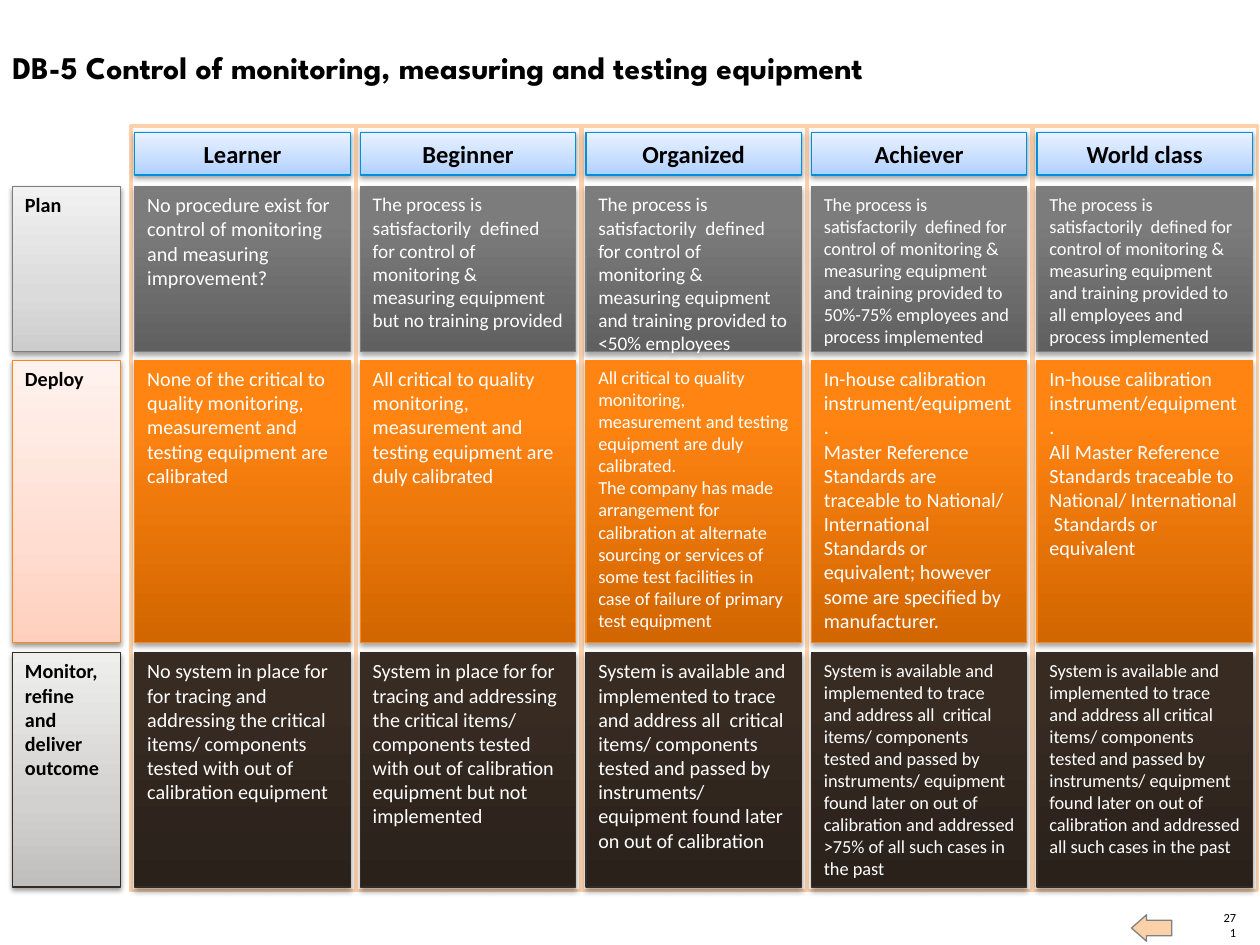
from lxml.etree import SubElement
from pptx import Presentation
from pptx.dml.color import RGBColor
from pptx.enum.shapes import MSO_SHAPE
from pptx.enum.text import MSO_ANCHOR, PP_ALIGN
from pptx.oxml.ns import qn
from pptx.util import Inches, Pt

BLACK = RGBColor(0x00, 0x00, 0x00)
WHITE = RGBColor(0xFF, 0xFF, 0xFF)
PEACH = RGBColor(0xFC, 0xD1, 0xAA)
GRAY = RGBColor(0x80, 0x80, 0x80)
STEEL = RGBColor(0x7D, 0x7D, 0x7D)
ORANGE = RGBColor(0xFF, 0x86, 0x15)
BROWN = RGBColor(0x35, 0x2C, 0x25)
BLUE = RGBColor(0x00, 0x8F, 0xDC)
SKY = [RGBColor(0xAE, 0xCF, 0xFF), RGBColor(0xC6, 0xDD, 0xFF), RGBColor(0xE9, 0xF2, 0xFF)]
SILVER = [RGBColor(0xCD, 0xCD, 0xCD), RGBColor(0xDB, 0xDB, 0xDB), RGBColor(0xF1, 0xF1, 0xF1)]
BLUSH = [RGBColor(0xFF, 0xCF, 0xBD), RGBColor(0xFF, 0xDD, 0xD1), RGBColor(0xFF, 0xF2, 0xEE)]
STONE = [RGBColor(0xC0, 0xBE, 0xBC), RGBColor(0xD3, 0xD1, 0xD0), RGBColor(0xEE, 0xEE, 0xED)]
SLATE = [RGBColor(0x60, 0x60, 0x60), RGBColor(0x7C, 0x7C, 0x7C), STEEL]
AMBER = [RGBColor(0xD2, 0x66, 0x00), RGBColor(0xFF, 0x84, 0x12), RGBColor(0xFF, 0x85, 0x14)]
COCOA = [RGBColor(0x2A, 0x21, 0x1B), RGBColor(0x37, 0x2B, 0x22), RGBColor(0x37, 0x2B, 0x22)]

LEFT, STEP, WIDE = 1.07, 1.79, 1.71

LEVELS = ["Learner", "Beginner", "Organized", "Achiever", "World class"]

ROWS = [
    ("Plan", 1.48, 1.31, STEEL, SILVER, SLATE, [
        (11.5, ["No procedure exist for control of monitoring and measuring improvement?"]),
        (11, ["The process is satisfactorily  defined for control of monitoring & "
              "measuring equipment but no training provided"]),
        (11, ["The process is satisfactorily  defined for control of monitoring & "
              "measuring equipment and training provided to <50% employees"]),
        (10.5, ["The process is satisfactorily  defined for control of monitoring & measuring "
                "equipment and training provided to 50%-75% employees and process implemented"]),
        (10.5, ["The process is satisfactorily  defined for control of monitoring & measuring "
                "equipment and training provided to all employees and process implemented"]),
    ]),
    ("Deploy", 2.86, 2.24, ORANGE, BLUSH, AMBER, [
        (11.5, ["None of the critical to quality monitoring, measurement and testing "
                "equipment are calibrated"]),
        (11.5, ["All critical to quality monitoring, measurement and testing equipment "
                "are duly calibrated"]),
        (10.5, ["All critical to quality monitoring, measurement and testing equipment "
                "are duly calibrated.",
                "The company has made arrangement for calibration at alternate sourcing or services "
                "of some test facilities in case of failure of primary test equipment"]),
        (11.5, ["In-house calibration instrument/equipment.",
                "Master Reference Standards are traceable to National/ International Standards "
                "or equivalent; however some are specified by manufacturer."]),
        (11.5, ["In-house calibration instrument/equipment.",
                "All Master Reference Standards traceable to National/ International  Standards "
                "or equivalent"]),
    ]),
    ("Monitor, refine and deliver outcome", 5.18, 1.86, BROWN, STONE, COCOA, [
        (11.5, ["No system in place for for tracing and addressing the critical items/ "
                "components tested with out of calibration equipment"]),
        (11.5, ["System in place for for tracing and addressing the critical items/ components "
                "tested with out of calibration equipment but not implemented"]),
        (11.5, ["System is available and implemented to trace and address all  critical items/ "
                "components tested and passed by instruments/ equipment found later on "
                "out of calibration"]),
        (10.5, ["System is available and implemented to trace and address all  critical items/ "
                "components tested and passed by instruments/ equipment found later on "
                "out of calibration and addressed >75% of all such cases in the past"]),
        (10.5, ["System is available and implemented to trace and address all critical items/ "
                "components tested and passed by instruments/ equipment found later on "
                "out of calibration and addressed all such cases in the past"]),
    ]),
]


def write(shape, lines, size, color, bold=False, align=PP_ALIGN.LEFT,
          anchor=MSO_ANCHOR.TOP, face="Calibri"):
    frame = shape.text_frame
    frame.word_wrap = True
    frame.vertical_anchor = anchor
    for i, line in enumerate(lines):
        para = frame.add_paragraph() if i else frame.paragraphs[0]
        para.alignment = align
        run = para.add_run()
        run.text = line
        run.font.name = face
        run.font.size = Pt(size)
        run.font.bold = bold
        run.font.color.rgb = color


def add_box(left, top, width, height, shades, edge, middle, alpha, drop):
    box = slide.shapes.add_shape(MSO_SHAPE.RECTANGLE, Inches(left), Inches(top),
                                 Inches(width), Inches(height))
    box.fill.gradient()
    box.fill.gradient_angle = 90
    box.line.color.rgb = edge
    box.line.width = Pt(0.75)
    box.shadow.inherit = False
    props = box._element.spPr
    stops = props.find(qn("a:gradFill")).find(qn("a:gsLst"))
    for stop in list(stops):
        stops.remove(stop)
    for pos, shade in zip((0, middle, 100), shades):
        stop = SubElement(stops, qn("a:gs"), pos=str(pos * 1000))
        SubElement(stop, qn("a:srgbClr"), val=str(shade))
    cast = SubElement(props.find(qn("a:effectLst")), qn("a:outerShdw"),
                      blurRad=str(Pt(3.1)), dist=str(Pt(drop)), dir="5400000", rotWithShape="0")
    tint = SubElement(cast, qn("a:srgbClr"), val=str(BLACK))
    SubElement(tint, qn("a:alpha"), val=str(alpha * 1000))
    return box


deck = Presentation()
deck.slide_width = Inches(10)
deck.slide_height = Inches(7.5)
slide = deck.slides.add_slide(deck.slide_layouts[6])

page = slide.shapes.add_textbox(Inches(9.69), Inches(7.34), Inches(0.12), Inches(0.12))
frame = page.text_frame
frame.margin_left = frame.margin_right = frame.margin_top = frame.margin_bottom = 0
write(page, ["271"], 7.1, BLACK, align=PP_ALIGN.RIGHT, anchor=MSO_ANCHOR.BOTTOM)

arrow = slide.shapes.add_shape(MSO_SHAPE.RIGHT_ARROW, Inches(8.98), Inches(7.26),
                               Inches(0.32), Inches(0.21))
arrow.rotation = 180
arrow.adjustments[0] = 0.59
arrow.adjustments[1] = 0.57
arrow.fill.solid()
arrow.fill.fore_color.rgb = PEACH
arrow.line.color.rgb = GRAY
arrow.line.width = Pt(0.75)
arrow.shadow.inherit = False

title = slide.shapes.add_textbox(Inches(0), Inches(0.33), Inches(8.6), Inches(0.4))
write(title, ["DB-5 Control of monitoring, measuring and testing equipment"], 18, BLACK,
      bold=True, face="League Spartan")

for i in range(len(LEVELS)):
    panel = slide.shapes.add_shape(MSO_SHAPE.RECTANGLE, Inches(LEFT - 0.03 + i * STEP), Inches(1),
                                   Inches(1.78), Inches(6.07))
    panel.fill.solid()
    panel.fill.fore_color.rgb = WHITE
    panel.line.color.rgb = PEACH
    panel.line.width = Pt(2)
    panel.shadow.inherit = False

for name, top, height, edge, pale, deep, cells in ROWS:
    label = add_box(0.1, top, 0.86, height, pale, edge, 35, 38, 1.6)
    write(label, [name], 11.5, BLACK, bold=True)
    for i, (size, lines) in enumerate(cells):
        cell = add_box(LEFT + i * STEP, top, WIDE, height, deep, edge, 80, 35, 1.8)
        write(cell, lines, size, WHITE)

for i, level in enumerate(LEVELS):
    head = add_box(LEFT + i * STEP, 1.05, WIDE, 0.34, SKY, BLUE, 35, 38, 1.6)
    write(head, [level], 14, BLACK, bold=True, align=PP_ALIGN.CENTER, anchor=MSO_ANCHOR.MIDDLE)

deck.save("out.pptx")
